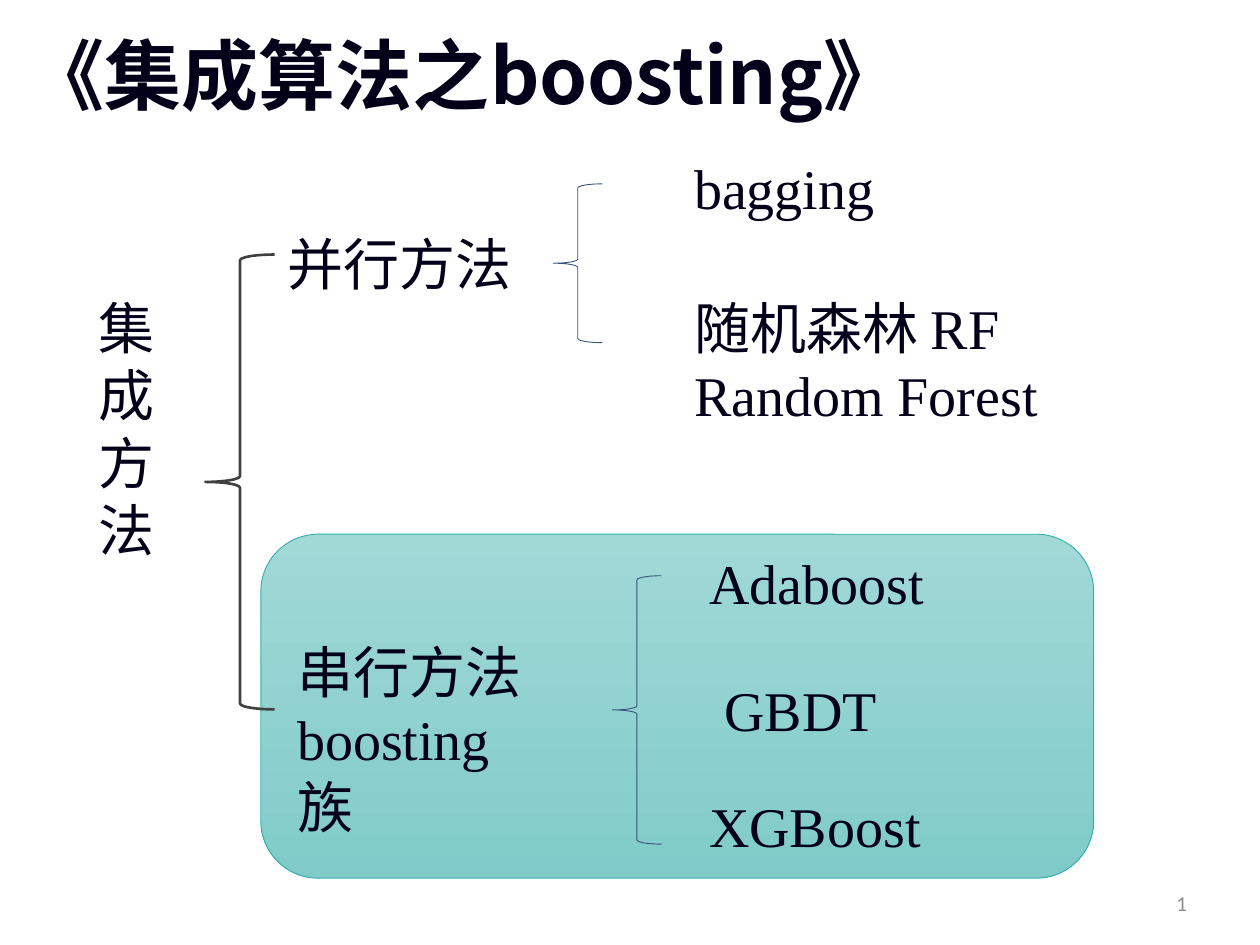
from dataclasses import dataclass

from pptx import Presentation
from pptx.dml.color import RGBColor
from pptx.enum.shapes import MSO_SHAPE as Preset
from pptx.enum.text import MSO_ANCHOR as Anchor, MSO_AUTO_SIZE as AutoSize, PP_ALIGN as Align
from pptx.oxml.ns import qn
from pptx.util import Inches, Pt

INK = RGBColor(0x03, 0x00, 0x1A)
GREY = RGBColor(0x8C, 0x8C, 0x8C)
DARK = RGBColor(0x40, 0x40, 0x40)
BLUE = RGBColor(0x39, 0x52, 0x7B)
TEAL = RGBColor(0x30, 0xAE, 0xAB)
TEAL_LIGHT = RGBColor(0xA1, 0xD9, 0xD7)
TEAL_DEEP = RGBColor(0x80, 0xCB, 0xC9)

HAN = "Noto Sans CJK SC"
LATIN = "Times New Roman"
LABEL_SIZE = 32
LABEL_PITCH = 38.5


@dataclass
class Area:
    left: float
    top: float
    width: float
    height: float

    def lengths(self) -> list:
        return [Inches(v) for v in (self.left, self.top, self.width, self.height)]


@dataclass
class Label:
    area: Area
    lines: list  # each line is a list of text pieces


@dataclass
class Brace:
    area: Area
    color: RGBColor = BLUE
    weight: float = 0.5


LABELS = [
    Label(Area(0.68, 2.28, 0.65, 2.26), [[char] for char in "集成方法"]),
    Label(Area(2.18, 1.77, 2, 0.64), [["并行方法"]]),
    Label(Area(2.26, 5.01, 2.27, 1.18), [["串行方法"], ["boosting", "\v", "族"]]),
    Label(Area(5.41, 1.17, 1.65, 0.64), [["bagging"]]),
    Label(Area(5.41, 2.28, 2.99, 1.18), [["随机森林 ", "RF"], ["Random Forest"]]),
    Label(Area(5.53, 4.3, 2, 0.64), [["Adaboost"]]),
    Label(Area(5.65, 5.31, 1.42, 0.64), [["GBDT"]]),
    Label(Area(5.53, 6.23, 1.9, 0.64), [["XGBoost"]]),
]
BRACES = [
    Brace(Area(1.63, 2.02, 0.55, 3.61), DARK, 1.5),
    Brace(Area(4.39, 1.46, 0.39, 1.26)),
    Brace(Area(4.86, 4.57, 0.39, 2.13)),
]


def style_span(span, name: str, size: float, color: RGBColor, bold: bool = False) -> None:
    font = span.font
    font.name, font.size, font.bold = name, Pt(size), bold
    font.color.rgb = color
    if name == HAN:
        east_asian = span._r.get_or_add_rPr().makeelement(qn("a:ea"), {"typeface": name})
        span._r.rPr.find(qn("a:latin")).addnext(east_asian)


def draw_shape(page, preset, area: Area, color: RGBColor, weight: float):
    shape = page.shapes.add_shape(preset, *area.lengths())
    shape.shadow.inherit = False
    shape.fill.background()
    shape.line.color.rgb = color
    shape.line.width = Pt(weight)
    return shape


def draw_label(page, label: Label) -> None:
    frame = page.shapes.add_textbox(*label.area.lengths()).text_frame
    frame.word_wrap = True
    frame.margin_right = 0
    for index, pieces in enumerate(label.lines):
        para = frame.add_paragraph() if index else frame.paragraphs[0]
        para.line_spacing = Pt(LABEL_PITCH)
        for piece in pieces:
            if piece == "\v":
                para.add_line_break()
                continue
            span = para.add_run()
            span.text = piece
            style_span(span, LATIN if piece.isascii() else HAN, LABEL_SIZE, INK)


def draw_title(page, text: str, area: Area) -> None:
    title = page.shapes.title
    title.left, title.top, title.width, title.height = area.lengths()
    frame = title.text_frame
    frame.text = text
    frame.auto_size = AutoSize.NONE
    frame.vertical_anchor = Anchor.TOP
    frame.margin_top = 0
    para = frame.paragraphs[0]
    para.alignment = Align.LEFT
    para.line_spacing = 0.8
    style_span(para.runs[0], HAN, 44, INK, bold=True)


def draw_page_number(page, number: int, area: Area) -> None:
    frame = page.shapes.add_textbox(*area.lengths()).text_frame
    frame.text = str(number)
    frame.word_wrap = True
    frame.vertical_anchor = Anchor.MIDDLE
    para = frame.paragraphs[0]
    para.alignment = Align.RIGHT
    style_span(para.runs[0], "Calibri", 12, GREY)


def main() -> None:
    deck = Presentation()
    deck.slide_width, deck.slide_height = Inches(10), Inches(7.5)
    page = deck.slides.add_slide(deck.slide_layouts[5])

    draw_title(page, "《集成算法之boosting》", Area(0.12, 0.36, 7.97, 1.19))

    # Panel behind the boosting family
    panel = draw_shape(page, Preset.ROUNDED_RECTANGLE, Area(2.07, 4.24, 6.61, 2.73), TEAL, 0.5)
    panel.fill.gradient()
    panel.fill.gradient_angle = 270
    for stop, color in zip(panel.fill.gradient_stops, (TEAL_LIGHT, TEAL_DEEP)):
        stop.color.rgb = color

    # Tree of methods
    for brace in BRACES:
        draw_shape(page, Preset.LEFT_BRACE, brace.area, brace.color, brace.weight)
    for label in LABELS:
        draw_label(page, label)

    draw_page_number(page, 1, Area(7.19, 6.97, 2.33, 0.4))
    deck.save("out.pptx")


if __name__ == "__main__":
    main()
